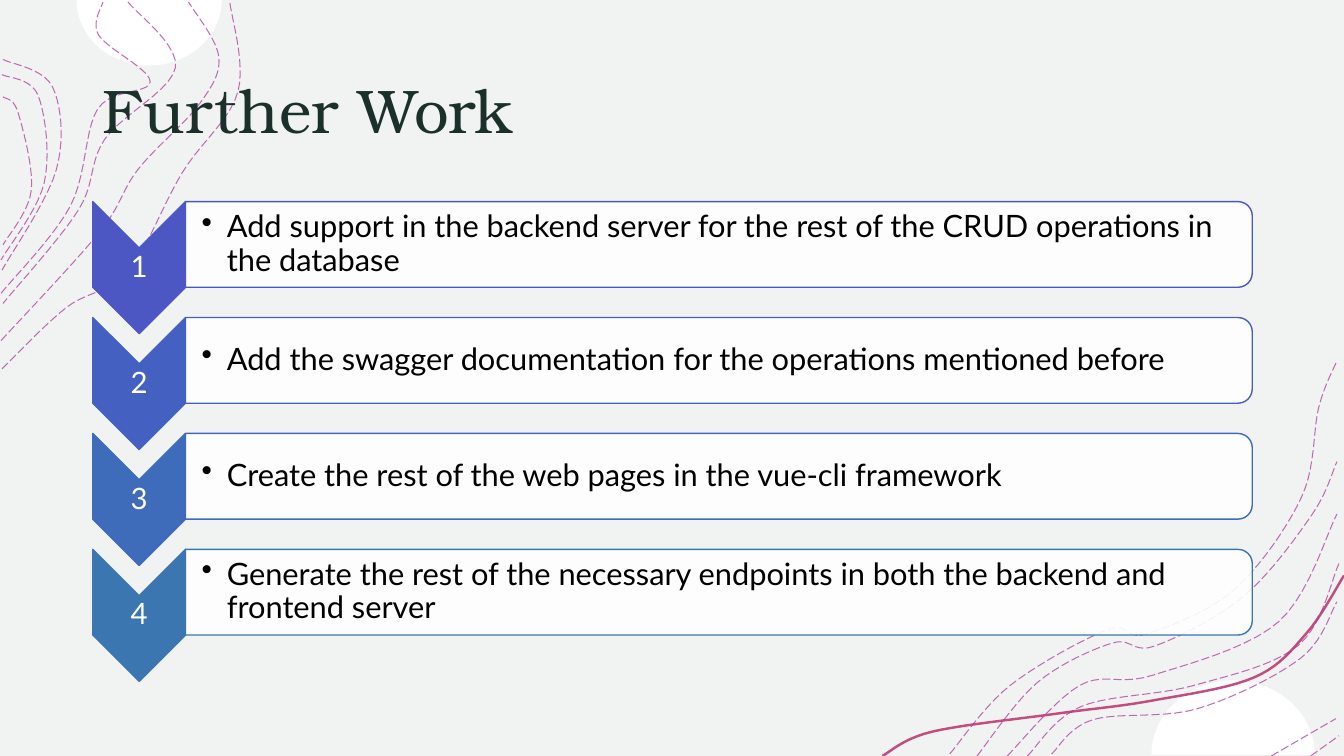
from math import cos, pi, sin

from lxml.etree import SubElement
from pptx import Presentation
from pptx.dml.color import RGBColor
from pptx.enum.dml import MSO_LINE
from pptx.enum.shapes import MSO_SHAPE as SHAPE
from pptx.enum.text import MSO_ANCHOR as ANCHOR, PP_ALIGN as ALIGN
from pptx.oxml.ns import qn
from pptx.util import Pt

# Content
TITLE = "Further Work"
STEPS = [
    ("Add support in the backend server for the rest of the CRUD operations in the database", "4D57C3"),
    ("Add the swagger documentation for the operations mentioned before", "4460C0"),
    ("Create the rest of the web pages in the vue-cli framework", "3E6BBA"),
    ("Generate the rest of the necessary endpoints in both the backend and frontend server", "3B76B1"),
]

# Circle caps: centre x, edge y, half width, depth into the page
CAPS = [(148, 0, 72, 65), (1223, 749, 81, -74)]

# Knots of the solid ribbon and the dashed contour lines
RIBBON = [(875, 750), (924, 726), (1048, 708), (1143, 695), (1244, 672), (1296, 628), (1333, 571)]
CONTOURS = [
    # Top left
    [(2, 366), (66, 305), (127, 269), (181, 171), (236, 91), (228, 2)],
    [(1, 338), (99, 230), (137, 168), (198, 103), (217, 56), (187, 2)],
    [(127, 2), (174, 67), (104, 138), (78, 208), (3, 301)],
    [(1, 291), (70, 204), (97, 108), (149, 81), (98, 35), (102, 2)],
    [(3, 59), (52, 86), (56, 168), (2, 268)],
    [(2, 74), (38, 95), (44, 181), (1, 258)],
    [(3, 96), (18, 112), (31, 189), (3, 243)],
    # Bottom right
    [(942, 748), (1002, 680), (1098, 625), (1137, 629), (1224, 585), (1291, 493), (1308, 404), (1326, 358)],
    [(969, 750), (1029, 677), (1103, 638), (1145, 641), (1233, 592), (1301, 511), (1326, 458)],
    [(1300, 750), (1328, 730)],
    [(1261, 750), (1325, 713)],
    [(1043, 748), (1084, 714), (1188, 703), (1290, 653), (1326, 597)],
    [(1019, 750), (1072, 701), (1184, 680), (1288, 640), (1328, 559)],
    [(999, 750), (1071, 680), (1143, 670), (1268, 617), (1326, 510)],
]

THEME = {
    "page": "F0F3F2", "frame": "F2F2F2", "white": "FFFFFF", "ribbon": "C34D7E", "contour": "B13B9E",
    "title": {"size": Pt(44), "name": "TeX Gyre Bonum", "color": "1B302A"},
    "number": {"size": Pt(21), "name": "Lato", "color": "FFFFFF"},
    "step": {"size": Pt(22), "name": "Lato", "color": "000000"},
}

# Geometry: 100 px to the inch
PX = 9144
PAGE_W, PAGE_H = 1333, 750
ROW_TOP, ROW_PITCH, ROW_H = 200, 115, 85
ARROW_X, ARROW_W, ARROW_H = 92, 92, 131
BOX_X, BOX_W = 184, 1058

deck = Presentation()
deck.slide_width, deck.slide_height = PAGE_W * PX, PAGE_H * PX
page = deck.slides.add_slide(deck.slide_layouts[6])


def paint(shape, fill=None, line=None, width=1, fill_alpha=100, line_alpha=100):
    shape.shadow.inherit = False
    if line:
        shape.line.width = Pt(width)
    for part, color in ((shape.fill, fill), (shape.line.fill, line)):
        if color:
            part.solid()
            part.fore_color.rgb = RGBColor.from_string(color)
        else:
            part.background()
    properties = shape._element.spPr
    for owner, alpha in ((properties, fill_alpha), (properties.find(qn("a:ln")), line_alpha)):
        if alpha < 100:
            tone = owner.find(qn("a:solidFill")).find(qn("a:srgbClr"))
            SubElement(tone, qn("a:alpha"), val=str(alpha * 1000))
    return shape


def smooth(knots, steps=10):
    """Points of a Catmull-Rom curve through the knots."""
    padded = [knots[0], *knots, knots[-1]]
    points = [knots[0]]
    for a, b, c, d in zip(padded, padded[1:], padded[2:], padded[3:]):
        for t in (step / steps for step in range(1, steps + 1)):
            points.append(tuple(
                q + t * (r - p) / 2 + t * t * (2 * p - 5 * q + 4 * r - s) / 2
                + t ** 3 * (3 * q - p - 3 * r + s) / 2
                for p, q, r, s in zip(a, b, c, d)))
    return points


def outline(points, close=False):
    start, *rest = [(round(x * PX), round(y * PX)) for x, y in points]
    builder = page.shapes.build_freeform(*start, scale=1.0)
    builder.add_line_segments(rest, close=close)
    return builder.convert_to_shape()


def turned(kind, x, y, width, height):
    """A preset turned by 90 degrees that covers the given area."""
    left, top = x + (width - height) / 2, y + (height - width) / 2
    shape = page.shapes.add_shape(kind, *(round(v * PX) for v in (left, top, height, width)))
    shape.rotation = 90
    return shape


def write(text, area, style, inset=(10, 5, 10, 5), align=ALIGN.LEFT):
    box = page.shapes.add_textbox(*(v * PX for v in area))
    sides = ("margin_left", "margin_top", "margin_right", "margin_bottom")
    settings = {"word_wrap": True, "vertical_anchor": ANCHOR.MIDDLE,
                **{side: gap * PX for side, gap in zip(sides, inset)}}
    for key, value in settings.items():
        setattr(box.text_frame, key, value)
    para = box.text_frame.paragraphs[0]
    para.alignment, para.line_spacing = align, 0.9
    span = para.add_run()
    span.text = text
    for key in ("size", "name"):
        setattr(span.font, key, style[key])
    span.font.color.rgb = RGBColor.from_string(style["color"])
    return para


# Backdrop
paint(page.shapes.add_shape(SHAPE.RECTANGLE, 0, 0, PAGE_W * PX, PAGE_H * PX), THEME["page"], THEME["frame"])
for x, y, half, depth in CAPS:
    arc = [(x + half * cos(pi * i / 48), y + depth * sin(pi * i / 48)) for i in range(49)]
    paint(outline(arc, close=True), THEME["white"])
paint(outline(smooth(RIBBON)), line=THEME["ribbon"], width=1.75)
for knots in CONTOURS:
    contour = paint(outline(smooth(knots)), line=THEME["contour"], width=0.75, line_alpha=75)
    contour.line.dash_style = MSO_LINE.LONG_DASH

# Title
write(TITLE, (92, 40, 1150, 145), THEME["title"])

# Numbered steps
for index, (text, color) in enumerate(STEPS):
    top = ROW_TOP + index * ROW_PITCH
    paint(turned(SHAPE.CHEVRON, ARROW_X, top, ARROW_W, ARROW_H), color, color)
    write(str(index + 1), (ARROW_X, top + 46, ARROW_W, 39), THEME["number"], (1, 1, 1, 1), ALIGN.CENTER)
    paint(turned(SHAPE.ROUND_2_SAME_RECTANGLE, BOX_X, top, BOX_W, ROW_H), THEME["white"], color, fill_alpha=90)
    para = write(text, (BOX_X - 1, top + 4, BOX_W - 4, ROW_H - 8), THEME["step"], (17, 2, 2, 2))
    layout = para._p.get_or_add_pPr()
    layout.set("marL", str(25 * PX))
    layout.set("indent", str(-25 * PX))
    SubElement(layout, qn("a:buChar"), char="•")

deck.save("out.pptx")
